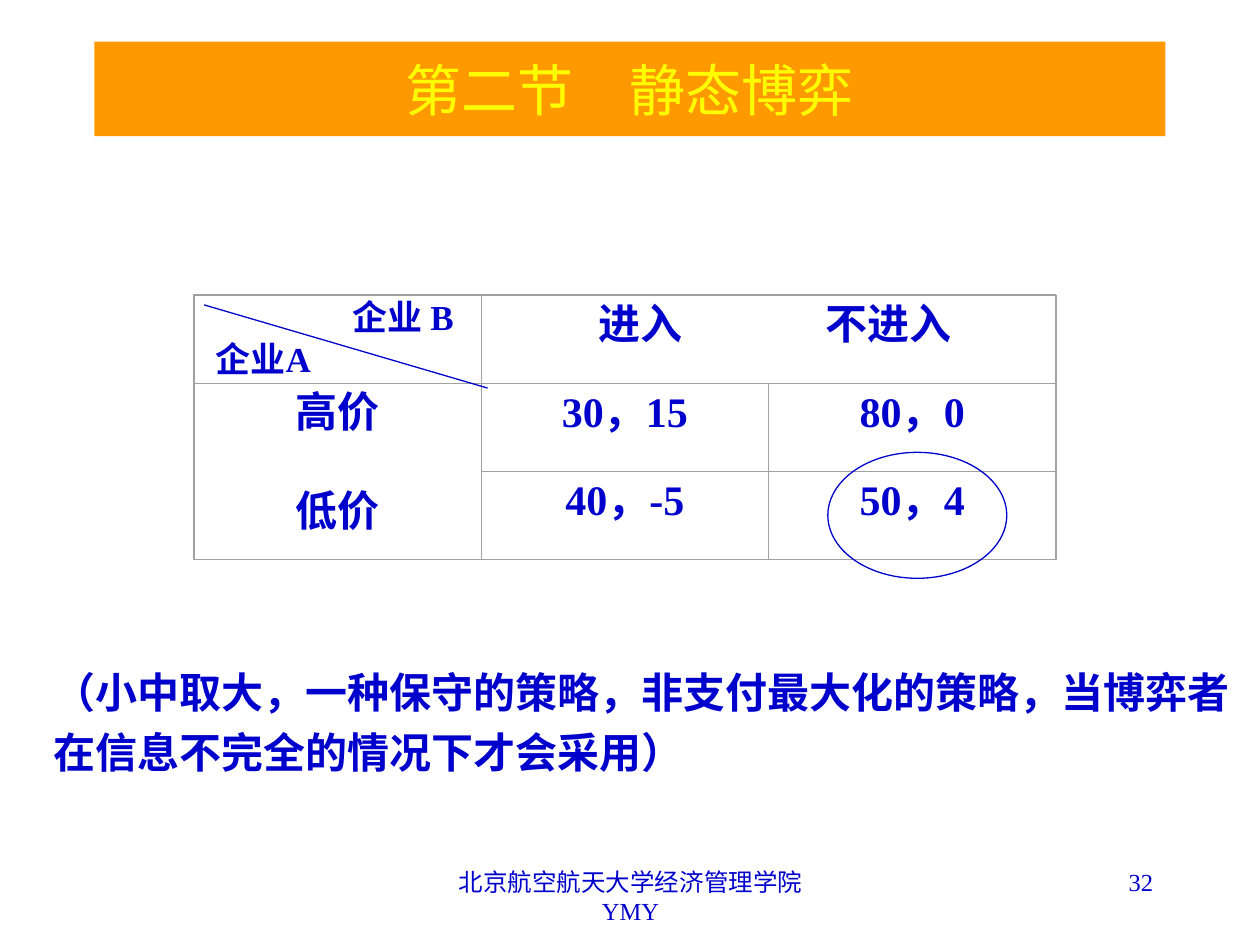
import pptx
import pptx.dml.color
import pptx.enum.shapes
import pptx.enum.text
import pptx.oxml
import pptx.oxml.ns
import pptx.util
from lxml import etree
from pptx.util import Inches

COLORS = {"blue": "0000CC", "orange": "FF9900", "yellow": "FFFF00", "grey": "A0A0A0"}
LATIN, CHINESE = "Times New Roman", "Noto Sans CJK SC"
ALIGN = pptx.enum.text.PP_ALIGN
SHAPES = pptx.enum.shapes.MSO_SHAPE
qn = pptx.oxml.ns.qn


def rgb(name):
    return pptx.dml.color.RGBColor.from_string(COLORS[name])


def add_run(paragraph, text, size, color="blue", bold=False, latin=LATIN):
    run = paragraph.add_run()
    run.text = text
    run.font.size = pptx.util.Pt(size)
    run.font.bold = bold
    run.font.color.rgb = rgb(color)
    run.font.name = latin
    etree.SubElement(run.font._element, qn("a:ea")).set("typeface", CHINESE)


presentation = pptx.Presentation()
presentation.slide_width = Inches(10)
presentation.slide_height = Inches(7.5)
slide = presentation.slides.add_slide(presentation.slide_layouts[6])
shapes = slide.shapes

# Footer and slide number
for left, width, align, text in [
    (3.42, 3.17, ALIGN.CENTER, "北京航空航天大学经济管理学院 YMY"),
    (7.17, 2.08, ALIGN.RIGHT, "32"),
]:
    footer = shapes.add_textbox(Inches(left), Inches(6.83), Inches(width), Inches(0.5))
    footer.text_frame.word_wrap = True
    paragraph = footer.text_frame.paragraphs[0]
    paragraph.alignment = align
    add_run(paragraph, text, 14)

# Payoff matrix
COLUMN, ROW = 2.28, 0.7
table = shapes.add_table(3, 3, Inches(1.54), Inches(2.34),
                         Inches(3 * COLUMN), Inches(3 * ROW)).table
table.first_row = table.horz_banding = False
for column in table.columns:
    column.width = Inches(COLUMN)
for row in table.rows:
    row.height = Inches(ROW)

# Hairline cell borders, with none between the two headers of B
for r in range(3):
    for c in range(3):
        cell = table.cell(r, c)
        properties = cell._tc.get_or_add_tcPr()
        for tag in ["a:lnL", "a:lnR", "a:lnT", "a:lnB"]:
            border = etree.SubElement(properties, qn(tag))
            border.set("w", str(pptx.util.Pt(0.25)))
            if (r, c, tag) in [(0, 1, "a:lnR"), (0, 2, "a:lnL")]:
                etree.SubElement(border, qn("a:noFill"))
            else:
                fill = etree.SubElement(border, qn("a:solidFill"))
                etree.SubElement(fill, qn("a:srgbClr")).set("val", COLORS["grey"])
        cell.fill.background()
table.cell(1, 0).merge(table.cell(2, 0))

# Cell insets: the corner holds two lines, the headers of B are indented
corner = table.cell(0, 0)
corner.margin_left, corner.margin_right = Inches(0.17), Inches(0.22)
corner.margin_top, corner.margin_bottom = Inches(0.03), 0
table.cell(0, 1).margin_left = Inches(0.93)
table.cell(0, 2).margin_left = Inches(0.45)

# Cell texts: row, column, size, then alignment and text of each line
for r, c, size, lines in [
    (0, 0, 20, [(ALIGN.RIGHT, "企业 B"), (ALIGN.LEFT, "企业A")]),
    (0, 1, 24, [(ALIGN.LEFT, "进入")]),
    (0, 2, 24, [(ALIGN.LEFT, "不进入")]),
    (1, 0, 24, [(ALIGN.CENTER, "高价"), (ALIGN.CENTER, "低价")]),
    (1, 1, 24, [(ALIGN.CENTER, "30，15")]),
    (1, 2, 24, [(ALIGN.CENTER, "80，0")]),
    (2, 1, 24, [(ALIGN.CENTER, "40，-5")]),
    (2, 2, 24, [(ALIGN.CENTER, "50，4")]),
]:
    text_frame = table.cell(r, c).text_frame
    for index, (align, text) in enumerate(lines):
        paragraph = text_frame.add_paragraph() if index else text_frame.paragraphs[0]
        paragraph.alignment = align
        paragraph.line_spacing = pptx.util.Pt(1.2 * size)
        add_run(paragraph, text, size, bold=True)
table.cell(1, 0).text_frame.paragraphs[1].space_before = pptx.util.Pt(28)

# Frame of the matrix
frame = shapes.add_shape(SHAPES.RECTANGLE, Inches(1.54), Inches(2.34),
                         Inches(3 * COLUMN), Inches(3 * ROW))
frame.shadow.inherit = False
frame.fill.background()
frame.line.color.rgb = rgb("grey")
frame.line.width = pptx.util.Pt(0.75)

# Diagonal of the corner cell
diagonal = shapes.add_connector(pptx.enum.shapes.MSO_CONNECTOR.STRAIGHT,
                                Inches(1.62), Inches(2.42), Inches(3.87), Inches(3.08))
diagonal.line.color.rgb = rgb("blue")
diagonal.line.width = pptx.util.Pt(0.75)
etree.SubElement(diagonal._element.spPr, qn("a:effectLst"))

# Explanation
note = shapes.add_textbox(Inches(0.33), Inches(5.16), Inches(9.53), Inches(1.46))
note.text_frame.word_wrap = True
paragraph = note.text_frame.paragraphs[0]
paragraph.line_spacing = 1.2
add_run(paragraph, "（小中取大，一种保守的策略，非支付最大化的策略，当博弈者在信息不完全的情况下才会采用）",
        24, bold=True, latin=CHINESE)

# Title banner
banner = shapes.add_shape(SHAPES.RECTANGLE, Inches(0.75), Inches(0.33), Inches(8.5), Inches(0.75))
banner.shadow.inherit = False
banner.fill.solid()
banner.fill.fore_color.rgb = rgb("orange")
banner.line.fill.background()
banner.text_frame.vertical_anchor = pptx.enum.text.MSO_ANCHOR.MIDDLE
paragraph = banner.text_frame.paragraphs[0]
paragraph.alignment = ALIGN.CENTER
add_run(paragraph, "第二节　", 32, "yellow")
add_run(paragraph, "静态博弈", 32, "yellow", latin=CHINESE)

# Ring around the maximin outcome
ring = shapes.add_shape(SHAPES.OVAL, Inches(6.57), Inches(3.59), Inches(1.42), Inches(1))
ring.shadow.inherit = False
ring.fill.background()
ring.line.color.rgb = rgb("blue")
ring.line.width = pptx.util.Pt(0.75)

presentation.save("out.pptx")
